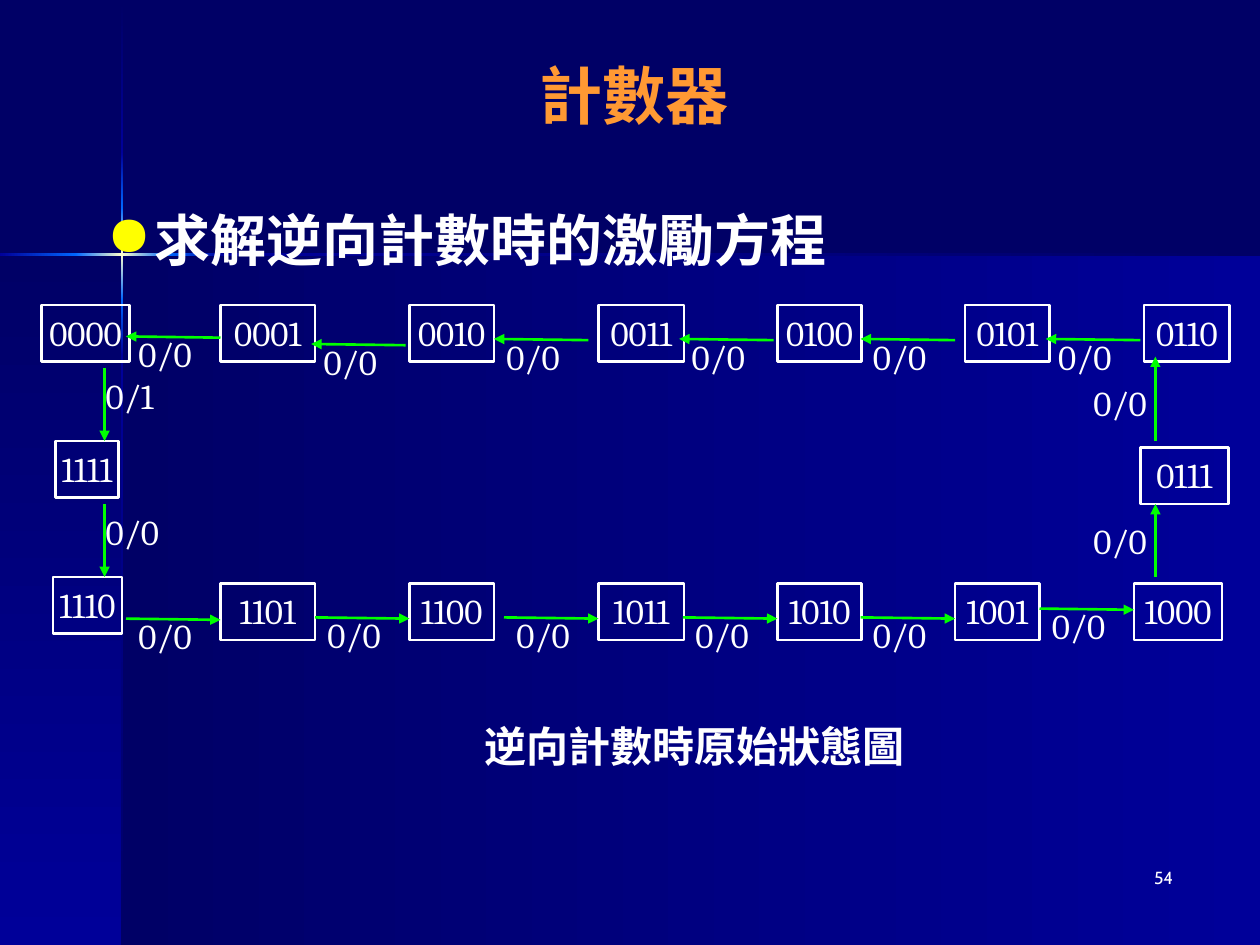
from dataclasses import dataclass

import pptx
import pptx.dml.color
import pptx.enum.shapes
import pptx.enum.text
import pptx.oxml
import pptx.oxml.ns
import pptx.util
from pptx.util import Inches

COLORS = {
    "navy": "000066", "blue": "000099", "glow": "0066FF", "spark": "FFFFCC",
    "title": "FF9933", "text": "FFFFFF", "bullet": "FFFF00", "arrow": "00FF00",
}
ALIGN = pptx.enum.text.PP_ALIGN
ANCHOR = pptx.enum.text.MSO_ANCHOR
RECTANGLE = pptx.enum.shapes.MSO_SHAPE.RECTANGLE
NAMESPACE = pptx.oxml.ns.nsdecls("a")
BOX_HEIGHT = 0.45
LABEL_HEIGHT = 0.43
ARROW_LENGTH = 0.75


@dataclass
class Band:
    left: float
    top: float
    width: float
    height: float
    stops: tuple[str, ...]
    angle: int


@dataclass
class State:
    code: str
    left: float
    top: float
    width: float


@dataclass
class Transition:
    start: tuple[float, float]
    end: tuple[float, float]
    label: str
    label_left: float
    label_top: float
    label_width: float
    wrap: bool


def rgb(name: str) -> pptx.dml.color.RGBColor:
    return pptx.dml.color.RGBColor.from_string(COLORS[name])


def write(shape, text: str, size: int, font: str, align=ALIGN.LEFT,
          color: str = "text", bold: bool = False, wrap: bool = True,
          anchor=ANCHOR.TOP, side_inset: float = 0.1) -> None:
    frame = shape.text_frame
    frame.auto_size = pptx.enum.text.MSO_AUTO_SIZE.NONE
    frame.word_wrap = wrap
    frame.vertical_anchor = anchor
    frame.margin_left = frame.margin_right = Inches(side_inset)
    paragraph = frame.paragraphs[0]
    paragraph.alignment = align
    run = paragraph.add_run()
    run.text = text
    run.font.size = pptx.util.Pt(size)
    run.font.name = font
    run.font.bold = bold
    run.font.color.rgb = rgb(color)


def add_text(slide, left: float, top: float, width: float, height: float,
             text: str, size: int, font: str, **style):
    shape = slide.shapes.add_textbox(
        Inches(left), Inches(top), Inches(width), Inches(height))
    write(shape, text, size, font, **style)
    return shape


def add_rectangle(slide, left: float, top: float, width: float, height: float):
    shape = slide.shapes.add_shape(
        RECTANGLE, Inches(left), Inches(top), Inches(width), Inches(height))
    shape.shadow.inherit = False
    return shape


def add_band(slide, band: Band) -> None:
    shape = add_rectangle(slide, band.left, band.top, band.width, band.height)
    shape.line.fill.background()
    step = 100000 // (len(band.stops) - 1)
    stops = "".join(
        f'<a:gs pos="{index * step}"><a:srgbClr val="{COLORS[name]}"/></a:gs>'
        for index, name in enumerate(band.stops))
    gradient = pptx.oxml.parse_xml(
        f'<a:gradFill {NAMESPACE} rotWithShape="1"><a:gsLst>{stops}</a:gsLst>'
        f'<a:lin ang="{band.angle * 60000}" scaled="0"/></a:gradFill>')
    geometry = shape.element.spPr.find(pptx.oxml.ns.qn("a:prstGeom"))
    geometry.addnext(gradient)


def add_state(slide, state: State) -> None:
    shape = add_rectangle(slide, state.left, state.top, state.width, BOX_HEIGHT)
    shape.fill.background()
    shape.line.color.rgb = rgb("text")
    shape.line.width = pptx.util.Pt(1.5)
    write(shape, state.code, 20, "Cambria", align=ALIGN.CENTER, side_inset=0)


def add_transition(slide, transition: Transition) -> None:
    arrow = slide.shapes.add_connector(
        pptx.enum.shapes.MSO_CONNECTOR.STRAIGHT,
        *map(Inches, transition.start + transition.end))
    arrow.line.color.rgb = rgb("arrow")
    arrow.line.width = pptx.util.Pt(1.5)
    arrow.line._get_or_add_ln().append(
        pptx.oxml.parse_xml(f'<a:tailEnd {NAMESPACE} type="triangle"/>'))
    arrow.element.spPr.append(pptx.oxml.parse_xml(f"<a:effectLst {NAMESPACE}/>"))
    add_text(slide, transition.label_left, transition.label_top,
             transition.label_width, LABEL_HEIGHT, transition.label, 20,
             "Cambria", wrap=transition.wrap)


def horizontal(left: float, y: float, leftward: bool) -> Transition:
    ends = [(left, y), (left + ARROW_LENGTH, y + 0.01)]
    start, end = reversed(ends) if leftward else ends
    return Transition(start, end, "0/0", left, y - 0.08, ARROW_LENGTH, True)


def vertical(x: float, start: float, end: float, label: str,
             label_left: float, label_top: float) -> Transition:
    return Transition((x, start), (x, end), label, label_left, label_top, 0.65, False)


BANDS = [
    # Large panels
    Band(0.97, 2.02, 9.03, 5.48, ("navy", "blue"), 0),
    Band(0, 2.02, 0.97, 5.48, ("navy", "blue"), 90),
    # Vertical beam
    Band(0.96, 0.01, 0.02, 1.21, ("navy", "blue"), 90),
    Band(0.96, 2.82, 0.02, 4.68, ("blue", "navy"), 90),
    Band(0.96, 2.38, 0.02, 0.44, ("glow", "blue"), 90),
    Band(0.96, 1.21, 0.02, 0.44, ("blue", "glow"), 90),
    Band(0.96, 1.65, 0.02, 0.73, ("glow", "spark", "glow"), 90),
    # Horizontal beam
    Band(1.77, 2.01, 8.23, 0.02, ("blue", "navy"), 0),
    Band(0, 2.01, 0.61, 0.02, ("blue", "glow"), 0),
    Band(1.33, 2.01, 0.44, 0.02, ("glow", "blue"), 0),
    Band(0.6, 2.01, 0.73, 0.02, ("glow", "spark", "glow"), 0),
]

STATES = [
    State("0000", 0.33, 2.42, 0.7), State("0001", 1.75, 2.42, 0.75),
    State("0010", 3.25, 2.42, 0.67), State("0011", 4.75, 2.42, 0.68),
    State("0100", 6.17, 2.42, 0.67), State("0101", 7.66, 2.42, 0.67),
    State("0110", 9.08, 2.42, 0.68), State("0111", 9.05, 3.55, 0.7),
    State("1000", 9, 4.63, 0.7), State("1001", 7.58, 4.63, 0.67),
    State("1010", 6.17, 4.63, 0.67), State("1011", 4.75, 4.63, 0.68),
    State("1100", 3.25, 4.63, 0.67), State("1101", 1.75, 4.63, 0.75),
    State("1110", 0.42, 4.58, 0.55), State("1111", 0.44, 3.5, 0.5),
]

TOP_ARROWS = [(1, 2.67), (2.47, 2.73), (3.92, 2.69), (5.39, 2.69),
              (6.83, 2.69), (8.3, 2.69)]
BOTTOM_ARROWS = [(1, 4.91), (2.5, 4.9), (4, 4.9), (5.42, 4.9),
                 (6.83, 4.9), (8.25, 4.83)]
TRANSITIONS = [
    *(horizontal(left, y, True) for left, y in TOP_ARROWS),
    *(horizontal(left, y, False) for left, y in BOTTOM_ARROWS),
    vertical(0.83, 2.92, 3.5, "0/1", 0.74, 2.92),
    vertical(0.83, 4, 4.58, "0/0", 0.74, 4),
    vertical(9.17, 4.58, 4, "0/0", 8.58, 4.07),
    vertical(9.17, 3.5, 2.83, "0/0", 8.58, 2.98),
]


def main() -> None:
    presentation = pptx.Presentation()
    presentation.slide_width = Inches(10)
    presentation.slide_height = Inches(7.5)
    slide = presentation.slides.add_slide(presentation.slide_layouts[5])

    # Backdrop
    slide.background.fill.solid()
    slide.background.fill.fore_color.rgb = rgb("navy")
    for band in BANDS:
        add_band(slide, band)

    # Title, raised above the backdrop
    title = slide.shapes.title
    title.element.getparent().append(title.element)
    title.left, title.top = Inches(0.5), Inches(0.33)
    title.width, title.height = Inches(9.17), Inches(0.83)
    write(title, "計數器 ", 36, "Cabin", align=ALIGN.CENTER, color="title",
          bold=True, anchor=ANCHOR.MIDDLE)

    # Bullet line and page number
    body = add_text(slide, 0.75, 1.58, 8.67, 5.08, "求解逆向計數時的激勵方程",
                    32, "Cabin", bold=True)
    properties = body.text_frame.paragraphs[0]._p.get_or_add_pPr()
    properties.set("marL", str(Inches(0.38)))
    properties.set("indent", str(Inches(-0.38)))
    for bullet in (f'<a:buClr {NAMESPACE}><a:srgbClr val="{COLORS["bullet"]}"/></a:buClr>',
                   f'<a:buChar {NAMESPACE} char="●"/>'):
        properties.append(pptx.oxml.parse_xml(bullet))
    add_text(slide, 7.33, 6.83, 2.08, 0.5, "54", 10, "Cabin", align=ALIGN.RIGHT)

    # State diagram and caption
    for state in STATES:
        add_state(slide, state)
    for transition in TRANSITIONS:
        add_transition(slide, transition)
    add_text(slide, 3.75, 5.67, 3.75, 0.5, "逆向計數時原始狀態圖", 24,
             "Cambria", bold=True)

    presentation.save("out.pptx")


if __name__ == "__main__":
    main()
